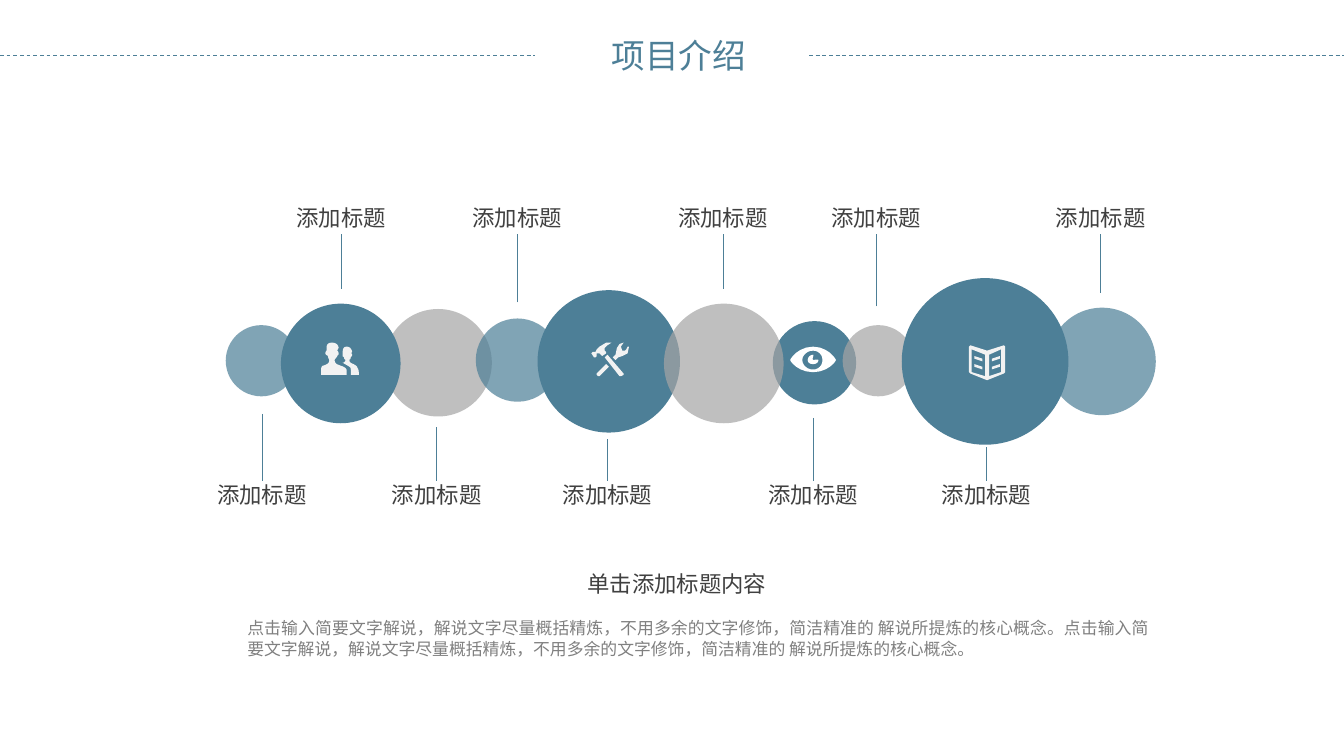
from dataclasses import dataclass

from lxml.etree import SubElement
from pptx import Presentation
from pptx.dml.color import RGBColor
from pptx.enum.dml import MSO_LINE
from pptx.enum.shapes import MSO_CONNECTOR, MSO_SHAPE
from pptx.enum.text import MSO_AUTO_SIZE, PP_ALIGN
from pptx.oxml.ns import qn
from pptx.util import Inches, Pt


@dataclass(frozen=True)
class Theme:
    blue: str = "4D7F97"
    grey: str = "A5A5A5"
    dark: str = "404040"
    muted: str = "808080"
    white: str = "FFFFFF"
    pale: str = "F2F2F2"
    font: str = "Roboto Condensed"
    chinese_font: str = "Noto Sans CJK SC"
    title_size: int = 18
    label_size: int = 12
    body_size: int = 9
    line_width: float = 0.5
    opacity: int = 71


THEME = Theme()

LABEL_WIDTH = 0.67
CIRCLES = [
    (2.86, 2.3, 0.8, THEME.grey, True),
    (5.75, 2.39, 0.62, THEME.blue, False),
    (2.09, 2.26, 0.89, THEME.blue, False),
    (4, 2.16, 1.06, THEME.blue, False),
    (3.54, 2.37, 0.62, THEME.blue, True),
    (4.94, 2.26, 0.89, THEME.grey, True),
    (6.27, 2.42, 0.53, THEME.grey, True),
    (6.71, 2.07, 1.24, THEME.blue, False),
    (7.8, 2.29, 0.8, THEME.blue, True),
    (1.68, 2.42, 0.53, THEME.blue, True),
]
UPPER_LABELS = [(2.54, 2.15), (3.85, 2.25), (5.38, 2.15), (6.52, 2.28), (8.19, 2.18)]
LOWER_LABELS = [(1.95, 3.08), (3.25, 3.18), (4.52, 3.27), (6.05, 3.11), (7.34, 3.33)]
SENTENCE = "点击输入简要文字解说，解说文字尽量概括精炼，不用多余的文字修饰，简洁精准的 解说所提炼的核心概念。"


def curve(start, *segments):
    points = [start]
    steps = 6
    for x1, y1, x2, y2, x3, y3 in segments:
        x0, y0 = points[-1]
        for step in range(1, steps + 1):
            t = step / steps
            weights = ((1 - t) ** 3, 3 * t * (1 - t) ** 2, 3 * t * t * (1 - t), t ** 3)
            points.append((
                sum(w * x for w, x in zip(weights, (x0, x1, x2, x3))),
                sum(w * y for w, y in zip(weights, (y0, y1, y2, y3))),
            ))
    return points


def eye_outlines():
    return [
        curve((17, 0), (6, 0, 0, 9, 0, 10), (0, 11, 6, 19, 17, 19),
              (28, 19, 34, 11, 34, 10), (34, 9, 28, 0, 17, 0)),
        curve((17, 17), (13, 17, 9, 14, 9, 10), (9, 6, 13, 3, 17, 3),
              (21, 3, 24, 6, 24, 10), (24, 14, 21, 17, 17, 17)),
        curve((17, 10), (16, 9, 18, 6, 17, 6), (15, 6, 13, 8, 13, 10),
              (13, 12, 15, 13, 17, 13), (19, 13, 21, 12, 21, 10), (21, 9, 17, 10, 17, 10)),
    ]


def people_outlines():
    back = curve(
        (28, 24), (28, 24, 28, 19, 27, 19), (27, 18, 26, 17, 24, 16),
        (22, 15, 21, 15, 21, 13), (21, 12, 22, 13, 22, 11), (22, 10, 23, 11, 23, 9),
        (23, 8, 22, 8, 22, 8), (22, 8, 23, 7, 23, 7), (23, 6, 22, 3, 19, 3),
        (16, 3, 16, 6, 16, 7), (16, 7, 16, 8, 16, 9), (16, 11, 16, 10, 17, 11),
        (17, 13, 18, 12, 18, 13), (18, 14, 17, 15, 16, 15), (21, 18, 22, 18, 22, 20))
    front = curve(
        (14, 17), (11, 16, 10, 15, 10, 13), (10, 12, 11, 12, 12, 10),
        (12, 9, 13, 10, 13, 8), (13, 7, 12, 6, 12, 6), (12, 6, 12, 5, 13, 4),
        (13, 3, 12, 0, 8, 0), (4, 0, 4, 3, 4, 4), (4, 5, 4, 6, 4, 6),
        (4, 6, 3, 7, 3, 8), (4, 10, 4, 9, 5, 10), (5, 12, 6, 12, 6, 13),
        (6, 15, 5, 16, 2, 17), (1, 17, 0, 18, 0, 19))
    shoulder = curve((19, 21), (19, 19, 17, 18, 14, 17))
    return [back + [(22, 24)], front + [(0, 24), (19, 24)] + shoulder]


def tools_outlines():
    return [
        [(4, 8), (6, 8), (8, 10), (11, 8), (11, 7), (10, 6), (10, 4), (12, 2), (15, 0),
         (11, 0), (6, 3), (4, 5), (3, 7), (1, 7), (0, 8), (2, 11), (3, 11), (4, 10)],
        [(12, 9), (10, 11), (21, 25), (22, 25), (24, 24), (24, 23)],
        [(28, 3), (27, 3), (26, 5), (25, 6), (23, 6), (22, 3), (24, 0), (21, 1),
         (19, 4), (18, 9), (16, 11), (18, 13), (20, 11), (23, 10), (27, 8)],
        [(4, 23), (4, 24), (5, 25), (6, 25), (13, 18), (11, 16)],
    ]


def book_outlines():
    cover = [(26, 0), (13.5, 4), (1, 0), (0, 1), (0, 20), (1, 21),
             (13.5, 26), (26, 21), (27, 20), (27, 1)]
    pages = [[(12, 23), (2, 20), (2, 3), (12, 7)], [(24, 20), (15, 23), (15, 7), (24, 3)]]
    rows = [[(left, y + start), (left + 6, y + end), (left + 6, y + end + 2), (left, y + start + 2)]
            for left, start, end in ((4, 0, 2), (17, 2, 0)) for y in (8, 14)]
    return [cover] + pages + rows


def fill_shape(shape, color):
    shape.fill.solid()
    shape.fill.fore_color.rgb = RGBColor.from_string(color)
    shape.line.fill.background()
    shape.shadow.inherit = False


def add_circle(slide, left, top, size, color, translucent):
    shape = slide.shapes.add_shape(
        MSO_SHAPE.OVAL, Inches(left), Inches(top), Inches(size), Inches(size))
    fill_shape(shape, color)
    if translucent:
        color_element = shape.fill._xPr.find(qn("a:solidFill"))[0]
        SubElement(color_element, qn("a:alpha"), val=str(THEME.opacity * 1000))


def add_icon(slide, left, top, outlines, color):
    scaled = [[(x * 10, y * 10) for x, y in outline] for outline in outlines]
    builder = slide.shapes.build_freeform(*scaled[0][0], scale=Inches(1) / 1000)
    builder.add_line_segments(scaled[0][1:], close=True)
    for outline in scaled[1:]:
        builder.move_to(*outline[0])
        builder.add_line_segments(outline[1:], close=True)
    fill_shape(builder.convert_to_shape(Inches(left), Inches(top)), color)


def add_line(slide, x1, y1, x2, y2, dashed=False):
    connector = slide.shapes.add_connector(
        MSO_CONNECTOR.STRAIGHT, Inches(x1), Inches(y1), Inches(x2), Inches(y2))
    connector.line.color.rgb = RGBColor.from_string(THEME.blue)
    connector.line.width = Pt(THEME.line_width)
    if dashed:
        connector.line.dash_style = MSO_LINE.DASH
    SubElement(connector._element.spPr, qn("a:effectLst"))


def add_text(slide, text, box, size, color, align=PP_ALIGN.LEFT, font=THEME.font,
             wrap=False, margins=(0, 0)):
    shape = slide.shapes.add_textbox(*(Inches(value) for value in box))
    frame = shape.text_frame
    frame.text = text
    frame.word_wrap = wrap
    frame.auto_size = MSO_AUTO_SIZE.SHAPE_TO_FIT_TEXT
    frame.margin_left = frame.margin_right = Inches(margins[0])
    frame.margin_top = frame.margin_bottom = Inches(margins[1])
    paragraph = frame.paragraphs[0]
    paragraph.alignment = align
    run = paragraph.runs[0]
    run.font.size = Pt(size)
    run.font.name = font
    run.font.color.rgb = RGBColor.from_string(color)
    SubElement(run.font._element, qn("a:ea"), typeface=THEME.chinese_font)


def add_label(slide, x, line_start, line_end, top):
    add_line(slide, x, line_start, x, line_end)
    add_text(slide, "添加标题", (x - LABEL_WIDTH / 2, top, LABEL_WIDTH, 0.2),
             THEME.label_size, THEME.dark, PP_ALIGN.CENTER)


def main():
    presentation = Presentation()
    presentation.slide_width = Inches(10)
    presentation.slide_height = Inches(5.6264)
    slide = presentation.slides.add_slide(presentation.slide_layouts[6])

    add_text(slide, "项目介绍", (4.48, 0.22, 1.16, 0.38), THEME.title_size, THEME.blue,
             font=THEME.chinese_font, margins=(0.07, 0.04))
    for start, end in ((0, 3.98), (6.02, 10)):
        add_line(slide, start, 0.41, end, 0.41, dashed=True)
    for circle in CIRCLES:
        add_circle(slide, *circle)
    for x, line_start in UPPER_LABELS:
        add_label(slide, x, line_start, 1.74, 1.52)
    for x, line_start in LOWER_LABELS:
        add_label(slide, x, line_start, 3.58, 3.58)
    add_icon(slide, 5.88, 2.58, eye_outlines(), THEME.white)
    add_icon(slide, 2.39, 2.55, people_outlines(), THEME.pale)
    add_icon(slide, 4.4, 2.55, tools_outlines(), THEME.pale)
    add_icon(slide, 7.21, 2.57, book_outlines(), THEME.pale)
    add_text(slide, SENTENCE * 2, (1.84, 4.6, 6.7, 0.3), THEME.body_size, THEME.muted,
             PP_ALIGN.JUSTIFY, wrap=True)
    add_text(slide, "单击添加标题内容", (4.37, 4.24, 1.69, 0.2), THEME.label_size,
             THEME.dark, wrap=True)
    presentation.save("out.pptx")


if __name__ == "__main__":
    main()
